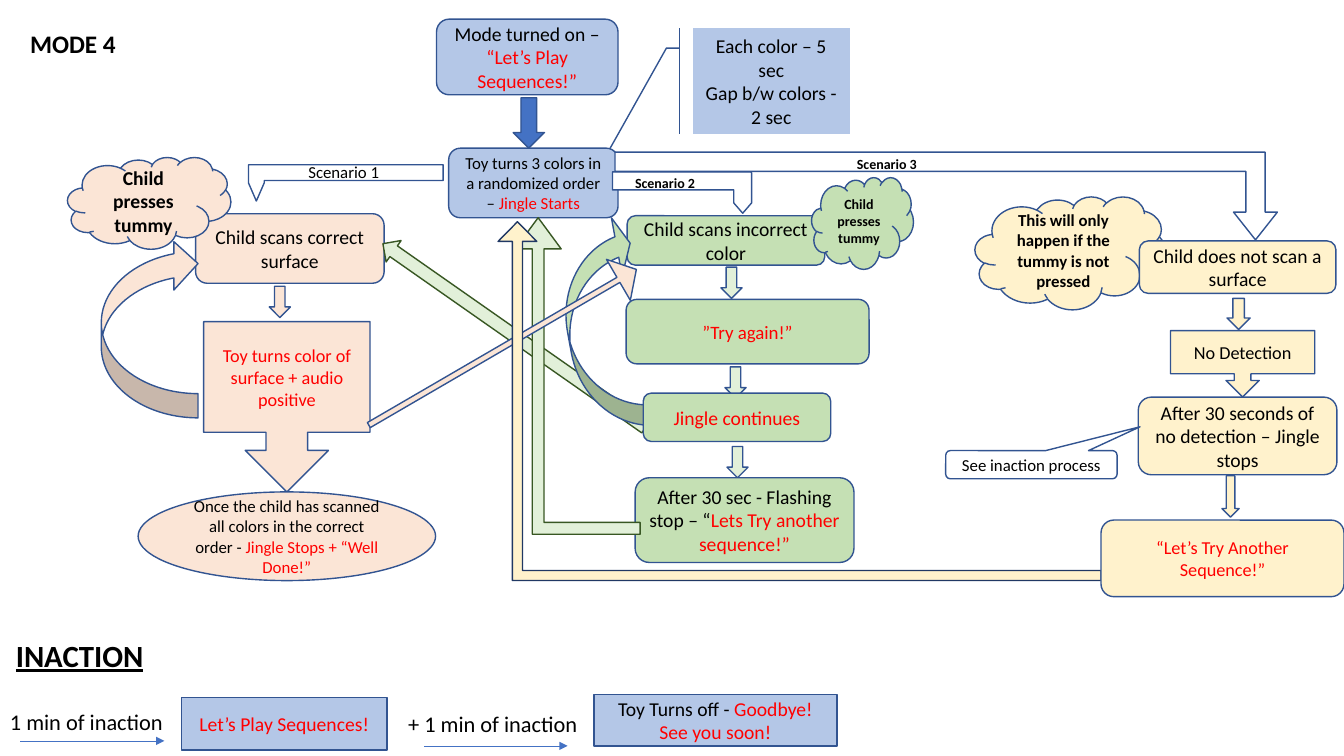
from lxml.etree import SubElement
from pptx import Presentation
from pptx.dml.color import RGBColor
from pptx.enum.shapes import MSO_CONNECTOR, MSO_SHAPE as Kind
from pptx.enum.text import MSO_ANCHOR, MSO_AUTO_SIZE, PP_ALIGN
from pptx.oxml.ns import qn
from pptx.util import Inches, Pt

COLORS = {
    "black": "000000", "red": "FF0000", "white": "FFFFFF", "outline": "325491",
    "navy": "203864", "forest": "385723", "blue": "4472C4", "sky": "B4C7E7",
    "peach": "FBE5D6", "green": "C5E0B4", "mint": "E2F0D9", "cream": "FFF2CC",
}


class Flowchart:
    """Draws the parts of a flowchart on one slide in a shared style."""

    def __init__(self, page, font="Calibri"):
        self.page = page
        self.font = font

    def color(self, name):
        return RGBColor.from_string(COLORS[name])

    def set_text(self, frame, text, size, bold=False, underline=False, align=PP_ALIGN.CENTER):
        frame.word_wrap = True
        para = frame.paragraphs[0]
        para.alignment = align
        para.font.name = self.font
        para.font.size = Pt(size)
        para.font.bold = bold
        para.font.underline = underline
        for part, tone in zip(text.split("|"), ("black", "red")):
            for number, row in enumerate(part.split("\n")):
                if number:
                    para.add_line_break()
                if row:
                    span = para.add_run()
                    span.text = row
                    span.font.color.rgb = self.color(tone)

    def label(self, at, text, size, **style):
        box = self.page.shapes.add_textbox(*map(Inches, at))
        self.set_text(box.text_frame, text, size, **style)
        box.text_frame.auto_size = MSO_AUTO_SIZE.SHAPE_TO_FIT_TEXT

    def shape(self, kind, at, fill, text="", size=14, bold=False,
              rotation=0, flip="", adjust=(), line="outline"):
        box = self.page.shapes.add_shape(kind, *map(Inches, at))
        box.shadow.inherit = False
        box.fill.solid()
        box.fill.fore_color.rgb = self.color(fill)
        box.line.color.rgb = self.color(line)
        box.line.width = Pt(1)
        box.rotation = rotation
        for axis in flip:
            box._element.spPr.xfrm.set("flip" + axis, "1")
        for index, value in enumerate(adjust):
            box.adjustments[index] = value
        if text:
            box.text_frame.vertical_anchor = MSO_ANCHOR.MIDDLE
            self.set_text(box.text_frame, text, size, bold)

    def step(self, at, fill, text, size=14):
        self.shape(Kind.ROUNDED_RECTANGLE, at, fill, text, size)

    def cloud(self, at, fill, text, size):
        self.shape(Kind.CLOUD, at, fill, text, size, bold=True)

    def down(self, at, fill, **style):
        self.shape(Kind.DOWN_ARROW, at, fill, **style)

    def timeline(self, left, right, top):
        line = self.page.shapes.add_connector(
            MSO_CONNECTOR.STRAIGHT, *map(Inches, (left, top, right, top)))
        line.line.color.rgb = self.color("blue")
        line.line.width = Pt(0.5)
        SubElement(line.line._get_or_add_ln(), qn("a:tailEnd"), type="triangle")
        SubElement(line._element.spPr, qn("a:effectLst"))


def draw_start(chart):
    left = PP_ALIGN.LEFT
    chart.label((0.2, 0.23, 1.16, 0.4), "MODE 4", 18, bold=True, align=left)
    chart.step((4.33, 0.19, 1.8, 0.75), "sky", "Mode turned on – |“Let’s Play Sequences!”")
    chart.step((4.45, 1.47, 1.68, 0.69), "sky",
               "Toy turns 3 colors in a randomized order – |Jingle Starts", 12)
    chart.down((5.09, 0.97, 0.31, 0.5), "blue")
    for at, flip, adjust in (
        ((3.25, 0.85, 0.36, 1.93), "H", (0.435, 0.217, 0.5, 0)),
        ((6.56, 1.22, 0.41, 1.38), "HV", (0.435, 0.217, 0.25, 0.028)),
        ((8.95, -1.34, 0.87, 6.57), "HV", (0.22, 0.25, 0.316, 0)),
    ):
        chart.shape(Kind.BENT_ARROW, at, "white", rotation=270, flip=flip, adjust=adjust)
    chart.label((2.96, 1.56, 1, 0.3), "Scenario 1", 12, align=left)
    chart.label((6.2, 1.68, 0.95, 0.27), "Scenario 2", 10, bold=True, align=left)
    chart.label((8.4, 1.49, 1.74, 0.27), "Scenario 3", 10, bold=True, align=left)
    chart.shape(Kind.LINE_CALLOUT_2_ACCENT_BAR, (6.87, 0.28, 1.56, 1.05), "sky",
                "Each color – 5 sec\nGap b/w colors - 2 sec",
                adjust=(0.188, -0.083, 0.188, -0.167, 1.14, -0.527))


def draw_correct(chart):
    chart.step((1.94, 2.12, 1.87, 0.69), "peach", "Child scans correct surface")
    chart.cloud((0.67, 1.56, 1.62, 0.91), "peach", "Child presses tummy", 14)
    chart.shape(Kind.DOWN_ARROW_CALLOUT, (2.02, 3.19, 1.65, 1.69), "peach",
                "|Toy turns color of surface + audio positive", 13)
    chart.down((2.67, 2.84, 0.21, 0.31), "peach")
    chart.shape(Kind.CURVED_UP_ARROW, (0.6, 2.78, 1.77, 0.96), "peach", rotation=90, flip="H")
    chart.shape(Kind.OVAL, (1.37, 4.88, 2.95, 0.88), "peach",
                "Once the child has scanned all colors in the correct order - "
                "|Jingle Stops + “Well Done!”", 12)


def draw_incorrect(chart):
    for left, top in ((7.15, 2.65), (7.19, 3.64), (7.21, 4.43)):
        chart.down((left, top, 0.21, 0.31), "mint")
    chart.step((6.22, 2.14, 1.96, 0.49), "green", "Child scans incorrect color")
    chart.cloud((8.05, 1.76, 1.01, 0.91), "green", "Child presses tummy", 10)
    chart.step((6.21, 2.97, 2.41, 0.64), "green", "|”Try again!”", 13.5)
    chart.down((4.97, 1.74, 0.26, 3.18), "mint", rotation=125, line="forest")
    chart.shape(Kind.CURVED_UP_ARROW, (4.95, 2.85, 2.12, 0.77), "green",
                rotation=79.6, flip="H", adjust=(0.268, 0.764, 0.178))
    chart.step((6.38, 3.9, 1.86, 0.48), "green", "|Jingle continues")
    chart.step((6.3, 4.74, 2.17, 0.84), "green",
               "After 30 sec - Flashing stop – “|Lets Try another sequence!”")
    chart.shape(Kind.BENT_UP_ARROW, (5.11, 2.16, 1.24, 3.14), "mint", flip="H",
                adjust=(0.094, 0.184, 0.25), line="forest")


def draw_no_scan(chart):
    chart.shape(Kind.DOWN_ARROW_CALLOUT, (11.61, 3.28, 1.43, 0.66), "cream", "No Detection", 13)
    chart.cloud((9.67, 1.95, 1.89, 1.12), "cream",
                "This will only happen if the tummy is not pressed", 12)
    chart.down((12.17, 2.96, 0.23, 0.31), "cream")
    chart.step((11.3, 2.39, 1.95, 0.52), "cream", "Child does not scan a surface")
    chart.step((11.29, 3.94, 1.97, 0.77), "cream",
               "After 30 seconds of no detection – Jingle stops")
    chart.shape(Kind.ROUNDED_RECTANGULAR_CALLOUT, (9.38, 4.47, 1.7, 0.28), "white",
                "See inaction process", 12, adjust=(0.634, -1.345, 0.167))
    chart.down((4.75, 1.91, 0.47, 3.07), "peach", rotation=239.8, adjust=(0.123, 0.438))
    chart.down((12.12, 4.72, 0.17, 0.41), "cream")
    chart.shape(Kind.BENT_UP_ARROW, (4.94, 2.2, 5.98, 3.56), "cream", flip="H",
                adjust=(0.028, 0.054, 0.055), line="navy")
    chart.step((10.92, 5.16, 2.41, 0.76), "cream", "|“Let’s Try Another Sequence!”", 13)


def draw_inaction(chart):
    left = PP_ALIGN.LEFT
    chart.label((-0.13, 6.27, 1.84, 0.47), "INACTION", 22, bold=True, underline=True)
    chart.shape(Kind.RECTANGLE, (1.8, 6.92, 2.04, 0.52), "sky", "|Let’s Play Sequences!")
    chart.label((0, 6.98, 2.28, 0.37), "1 min of inaction", 16, align=left)
    chart.shape(Kind.RECTANGLE, (5.89, 6.89, 2.41, 0.51), "sky",
                "Toy Turns off - |Goodbye! See you soon!")
    chart.label((3.95, 7, 2.15, 0.37), "+ 1 min of inaction", 16, align=left)
    chart.timeline(0.2, 1.63, 7.35)
    chart.timeline(4.21, 5.63, 7.4)


def main():
    deck = Presentation()
    deck.slide_width, deck.slide_height = Inches(13.33), Inches(7.5)
    chart = Flowchart(deck.slides.add_slide(deck.slide_layouts[6]))
    for draw in (draw_start, draw_correct, draw_incorrect, draw_no_scan, draw_inaction):
        draw(chart)
    deck.save("out.pptx")


if __name__ == "__main__":
    main()
